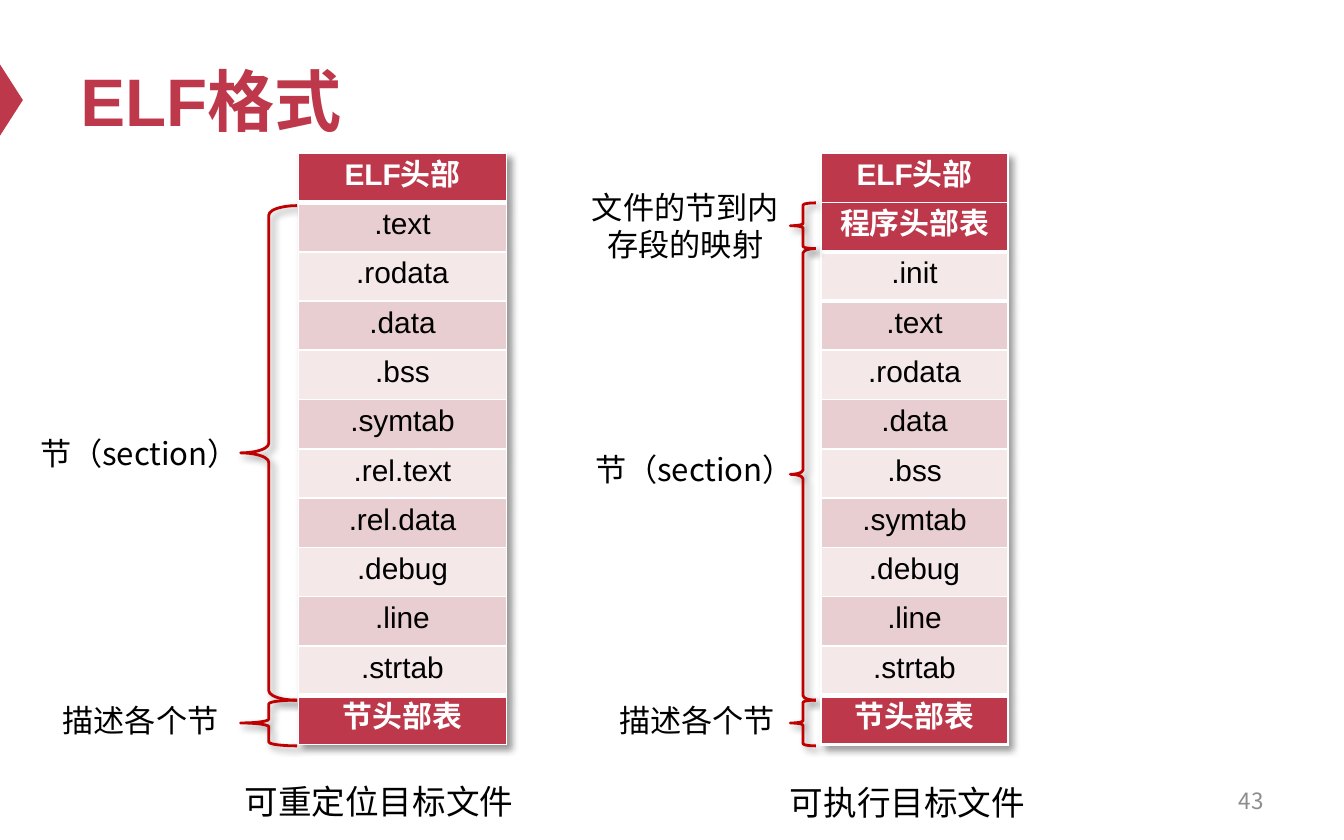
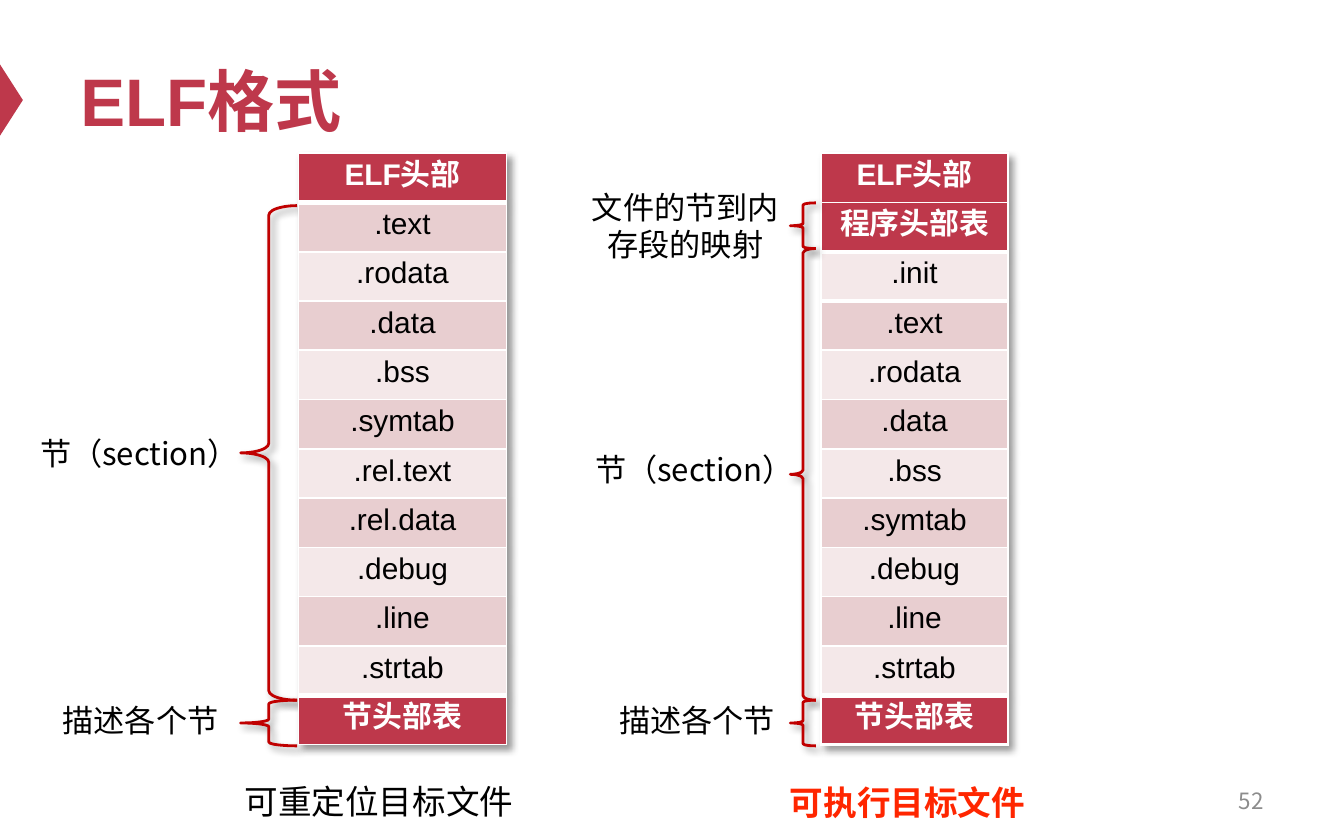
"""Build two slides comparing the ELF layouts of relocatable and executable object files."""
from pptx import Presentation
from pptx.dml.color import RGBColor
from pptx.enum.shapes import MSO_SHAPE
from pptx.enum.text import MSO_ANCHOR, MSO_AUTO_SIZE, PP_ALIGN
from pptx.oxml import parse_xml
from pptx.oxml.ns import nsdecls, qn
from pptx.util import Inches, Pt
from lxml.etree import SubElement

CRIMSON = RGBColor(0xBE, 0x38, 0x4B)
BRACE_RED = RGBColor(0xC0, 0x00, 0x00)
HIGHLIGHT = RGBColor(0xFF, 0x26, 0x00)
ROW_DARK = RGBColor(0xE8, 0xCE, 0xD0)
ROW_LIGHT = RGBColor(0xF4, 0xE8, 0xE9)
GRAY = RGBColor(0x8C, 0x8C, 0x8C)
BLACK = RGBColor(0x00, 0x00, 0x00)
WHITE = RGBColor(0xFF, 0xFF, 0xFF)
LATIN_FONT = "Arial"
CHINESE_FONT = "Noto Sans CJK SC"

TITLE = "ELF格式"
SECTION_LABEL = "节（section）"
TABLE_LABEL = "描述各个节"
MAPPING_LABEL = "文件的节到内存段的映射"
TABLE_TOP, TABLE_HEIGHT = 1.14, 4.4
BRACE_END, SHORT_BRACE = 5.21, 0.34

FILES = [
    {
        "caption": "可重定位目标文件",
        "caption_box": (1.72, 5.76, 2.22, 0.4),
        "rows": ["ELF头部", ".text", ".rodata", ".data", ".bss", ".symtab", ".rel.text",
                 ".rel.data", ".debug", ".line", ".strtab", "节头部表"],
        "table_left": 2.22, "table_width": 1.55,
        "thick_edges": {1: 3, 11: 3},
        "brace_left": 1.79, "brace_width": 0.42, "sections_top": 1.53,
        "section_label_at": (0.2, 3.18), "table_label_left": 0.35,
        "mapped": False,
    },
    {
        "caption": "可执行目标文件",
        "caption_box": (5.78, 5.77, 1.97, 0.4),
        "rows": ["ELF头部", "程序头部表", ".init", ".text", ".rodata", ".data", ".bss",
                 ".symtab", ".debug", ".line", ".strtab", "节头部表"],
        "table_left": 6.11, "table_width": 1.39,
        "thick_edges": {2: 2.25, 3: 2.25, 11: 3, 12: 2.25},
        "brace_left": 5.88, "brace_width": 0.19, "sections_top": 1.85,
        "section_label_at": (4.33, 3.3), "table_label_left": 4.49,
        "mapped": True,
    },
]
SLIDES = [("43", None), ("52", "可执行目标文件")]


def shadow_effect():
    return parse_xml(
        f'<a:effectLst {nsdecls("a")}><a:outerShdw blurRad="{Pt(4)}" dist="{Pt(3)}" '
        'dir="2700000" algn="tl" rotWithShape="0"><a:srgbClr val="000000">'
        '<a:alpha val="40000"/></a:srgbClr></a:outerShdw></a:effectLst>')


def write_run(paragraph, text, size, font_name, color=BLACK, bold=False):
    run = paragraph.add_run()
    run.text = text
    font = run.font
    font.size, font.name, font.bold = Pt(size), font_name, bold
    font.color.rgb = color
    SubElement(run._r.get_or_add_rPr(), qn("a:ea")).set("typeface", font_name)


def add_text(slide, box, text, size, font_name, color=BLACK, bold=False,
             align=PP_ALIGN.LEFT, wrap=False, fixed=False):
    frame = slide.shapes.add_textbox(*map(Inches, box)).text_frame
    frame.word_wrap = wrap
    frame.auto_size = MSO_AUTO_SIZE.NONE if fixed else MSO_AUTO_SIZE.SHAPE_TO_FIT_TEXT
    frame.vertical_anchor = MSO_ANCHOR.MIDDLE if fixed else MSO_ANCHOR.TOP
    paragraph = frame.paragraphs[0]
    paragraph.alignment = align
    write_run(paragraph, text, size, font_name, color, bold)


def add_label(slide, box, text, align=PP_ALIGN.CENTER, wrap=False):
    add_text(slide, box, text, 16.7, CHINESE_FONT, align=align, wrap=wrap)


def add_brace(slide, file, top, height, curve=0.083):
    brace = slide.shapes.add_shape(
        MSO_SHAPE.LEFT_BRACE, Inches(file["brace_left"]), Inches(top),
        Inches(file["brace_width"]), Inches(height))
    brace.adjustments[0] = curve
    brace.fill.background()
    brace.line.color.rgb = BRACE_RED
    brace.line.width = Pt(1.5)
    brace._element.spPr.append(shadow_effect())


def set_borders(cell, top, bottom):
    properties = cell._tc.get_or_add_tcPr()
    widths = {"lnL": 1, "lnR": 1, "lnT": top, "lnB": bottom}
    for position, (tag, width) in enumerate(widths.items()):
        properties.insert(position, parse_xml(
            f'<a:{tag} {nsdecls("a")} w="{Pt(width)}"><a:solidFill>'
            f'<a:srgbClr val="{WHITE}"/></a:solidFill></a:{tag}>'))


def add_layout_table(slide, file):
    rows = file["rows"]
    table = slide.shapes.add_table(
        len(rows), 1, Inches(file["table_left"]), Inches(TABLE_TOP),
        Inches(file["table_width"]), Inches(TABLE_HEIGHT)).table
    table.first_row = table.horz_banding = False
    table._tbl.tblPr.insert(0, shadow_effect())
    for index, name in enumerate(rows):
        table.rows[index].height = Inches(TABLE_HEIGHT / len(rows))
        cell = table.cell(index, 0)
        header = not name.startswith(".")
        cell.margin_top, cell.margin_bottom = Inches(0.04), 0
        cell.fill.solid()
        cell.fill.fore_color.rgb = CRIMSON if header else ROW_DARK if index % 2 else ROW_LIGHT
        edges = file["thick_edges"]
        set_borders(cell, edges.get(index, 1), edges.get(index + 1, 1))
        paragraph = cell.text_frame.paragraphs[0]
        paragraph.alignment = PP_ALIGN.CENTER
        write_run(paragraph, name, 16, LATIN_FONT, WHITE if header else BLACK, header)


def add_file(slide, file, highlighted):
    top = file["sections_top"]
    add_brace(slide, file, top, BRACE_END - top, 0.169)
    add_label(slide, (*file["section_label_at"], 1.7, 0.38), SECTION_LABEL, PP_ALIGN.LEFT)
    add_brace(slide, file, BRACE_END, SHORT_BRACE)
    add_label(slide, (file["table_label_left"], 5.17, 1.39, 0.38), TABLE_LABEL)
    add_layout_table(slide, file)
    if file["mapped"]:
        add_brace(slide, file, top - SHORT_BRACE, SHORT_BRACE)
        add_label(slide, (4.25, 1.35, 1.7, 0.66), MAPPING_LABEL, wrap=True)
    add_text(slide, file["caption_box"], file["caption"], 18, LATIN_FONT,
             HIGHLIGHT if highlighted else BLACK, highlighted)


def add_frame(slide, number):
    marker = slide.shapes.add_shape(
        MSO_SHAPE.ISOSCELES_TRIANGLE, Inches(-0.18), Inches(0.66), Inches(0.53), Inches(0.17))
    marker.rotation = 90
    marker.shadow.inherit = False
    marker.fill.solid()
    marker.fill.fore_color.rgb = CRIMSON
    marker.line.fill.background()
    add_text(slide, (0.5, 0.25, 9, 0.98), TITLE, 36, LATIN_FONT, CRIMSON, True,
             wrap=True, fixed=True)
    add_text(slide, (7.17, 5.79, 2.33, 0.33), number, 12, CHINESE_FONT, GRAY,
             align=PP_ALIGN.RIGHT, wrap=True, fixed=True)


def main():
    presentation = Presentation()
    presentation.slide_width, presentation.slide_height = Inches(10), Inches(6.25)
    for number, highlighted_caption in SLIDES:
        slide = presentation.slides.add_slide(presentation.slide_layouts[6])
        add_frame(slide, number)
        for file in FILES:
            add_file(slide, file, file["caption"] == highlighted_caption)
    presentation.save("out.pptx")


if __name__ == "__main__":
    main()
